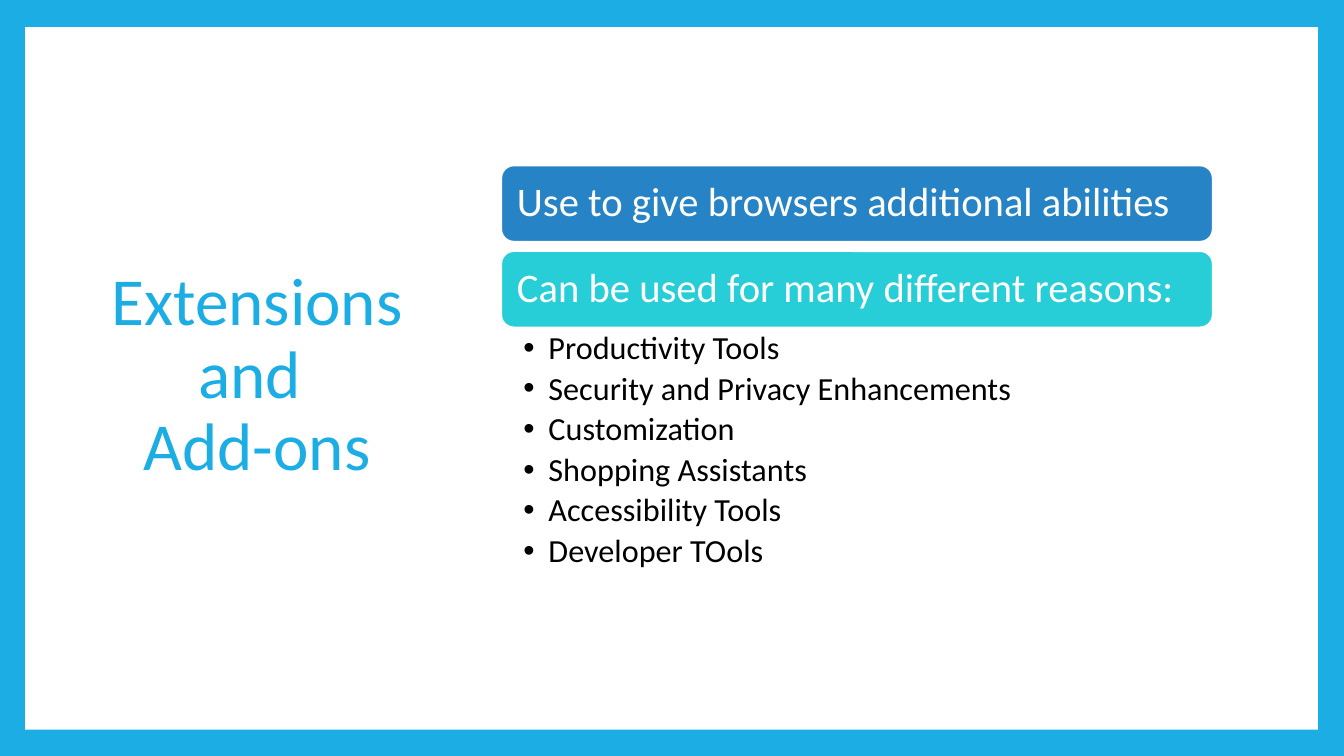
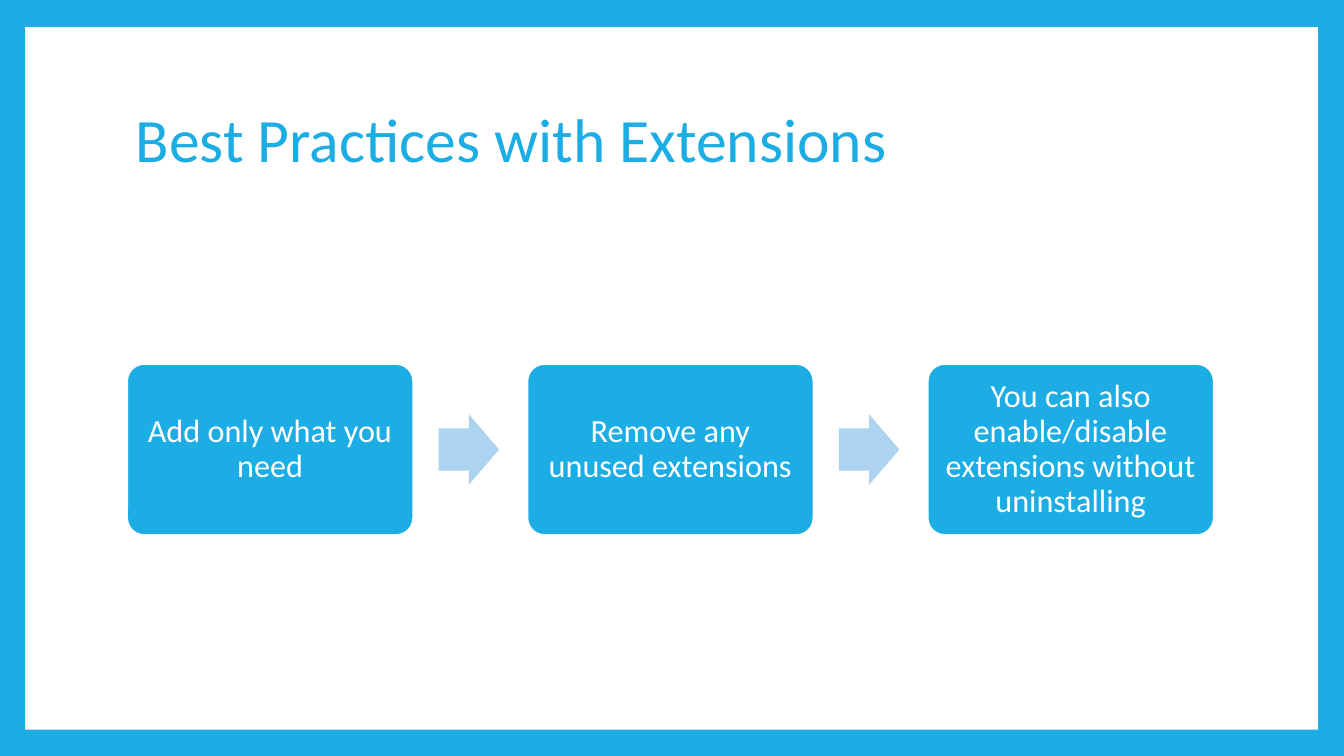
from lxml import etree
from pptx import Presentation
from pptx.dml.color import RGBColor
from pptx.enum.shapes import MSO_SHAPE as Shape
from pptx.enum.text import MSO_ANCHOR as Anchor, PP_ALIGN as Align
from pptx.oxml.ns import qn
from pptx.util import Pt

PX = 9144  # 100 px to the inch
FONT = "Calibri"
COLORS = {
    "sky": "1CADE4",
    "blue": "2683C6",
    "teal": "27CED7",
    "pale": "ACD3EF",
    "white": "FFFFFF",
    "black": "000000",
}


def add_block(page, kind, area, fill, outlined=False):
    block = page.shapes.add_shape(kind, *(n * PX for n in area))
    block.shadow.inherit = False
    block.fill.solid()
    block.fill.fore_color.rgb = RGBColor.from_string(COLORS[fill])
    if outlined:
        block.line.color.rgb = RGBColor.from_string(COLORS["white"])
        block.line.width = Pt(1.5)
    else:
        block.line.fill.background()
    return block


def write(box, lines, size, color, align=Align.LEFT, anchor=Anchor.MIDDLE,
          insets=(10, 5, 10, 5), bullets=False):
    """Fill a box with one paragraph per line; insets are left, top, right, bottom."""
    frame = box.text_frame
    frame.word_wrap = True
    frame.vertical_anchor = anchor
    (frame.margin_left, frame.margin_top,
     frame.margin_right, frame.margin_bottom) = (n * PX for n in insets)
    for index, line in enumerate(lines):
        para = frame.add_paragraph() if index else frame.paragraphs[0]
        para.text = line
        para.alignment = align
        para.line_spacing = 0.9
        if bullets:
            para.space_after = Pt(4.2)
            props = para._p.get_or_add_pPr()
            props.set("marL", str(25 * PX))
            props.set("indent", str(-25 * PX))
            etree.SubElement(props, qn("a:buFont")).set("typeface", "Arial")
            etree.SubElement(props, qn("a:buChar")).set("char", "•")
        para.font.name = FONT
        para.font.size = Pt(size)
        para.font.color.rgb = RGBColor.from_string(COLORS[color])


deck = Presentation()
deck.slide_width, deck.slide_height = 1333 * PX, 750 * PX
backdrop = deck.slide_master.background.fill
backdrop.solid()
backdrop.fore_color.rgb = RGBColor.from_string(COLORS["sky"])

titles = [
    ("Extensions and \vAdd-ons", (71, 67, 368, 613), 48, Align.CENTER),
    ("Best Practices with Extensions", (125, 67, 1080, 148), 44, Align.LEFT),
]
pages = []
for title, area, size, align in titles:
    page = deck.slides.add_slide(deck.slide_layouts[6])
    add_block(page, Shape.RECTANGLE, (25, 27, 1282, 697), "white")
    title_box = page.shapes.add_textbox(*(n * PX for n in area))
    write(title_box, [title], size, "sky", align)
    pages.append(page)
extensions_page, practices_page = pages

# Extensions and Add-ons: two banners over a list
LIST_LEFT, LIST_WIDTH = 497, 706
banners = [
    ("Use to give browsers additional abilities", "blue"),
    ("Can be used for many different reasons:", "teal"),
]
for index, (text, fill) in enumerate(banners):
    area = (LIST_LEFT, 164 + index * 85, LIST_WIDTH, 76)
    banner = add_block(extensions_page, Shape.ROUNDED_RECTANGLE, area, fill, outlined=True)
    write(banner, [text], 29, "white", insets=(12, 12, 12, 12))

reasons = [
    "Productivity Tools",
    "Security and Privacy Enhancements",
    "Customization",
    "Shopping Assistants",
    "Accessibility Tools",
    "Developer TOols",
]
reason_box = extensions_page.shapes.add_textbox(
    LIST_LEFT * PX, 325 * PX, LIST_WIDTH * PX, 263 * PX)
write(reason_box, reasons, 23, "black", anchor=Anchor.TOP,
      insets=(22, 4, 23, 4), bullets=True)

# Best Practices: three cards joined by arrows
practices = [
    "Add only what you need",
    "Remove any unused extensions",
    "You can also enable/disable extensions without uninstalling",
]
for index, text in enumerate(practices):
    left = 126 + index * 397
    card = add_block(practices_page, Shape.ROUNDED_RECTANGLE,
                     (left, 361, 284, 170), "sky", outlined=True)
    card.adjustments[0] = 0.1
    write(card, [text], 23, "white", Align.CENTER, insets=(10, 10, 10, 10))
    if index < len(practices) - 1:
        arrow = add_block(practices_page, Shape.RIGHT_ARROW,
                          (left + 309, 411, 60, 70), "pale")
        arrow.adjustments[0] = 0.6
        arrow.adjustments[1] = 0.5

deck.save("out.pptx")
